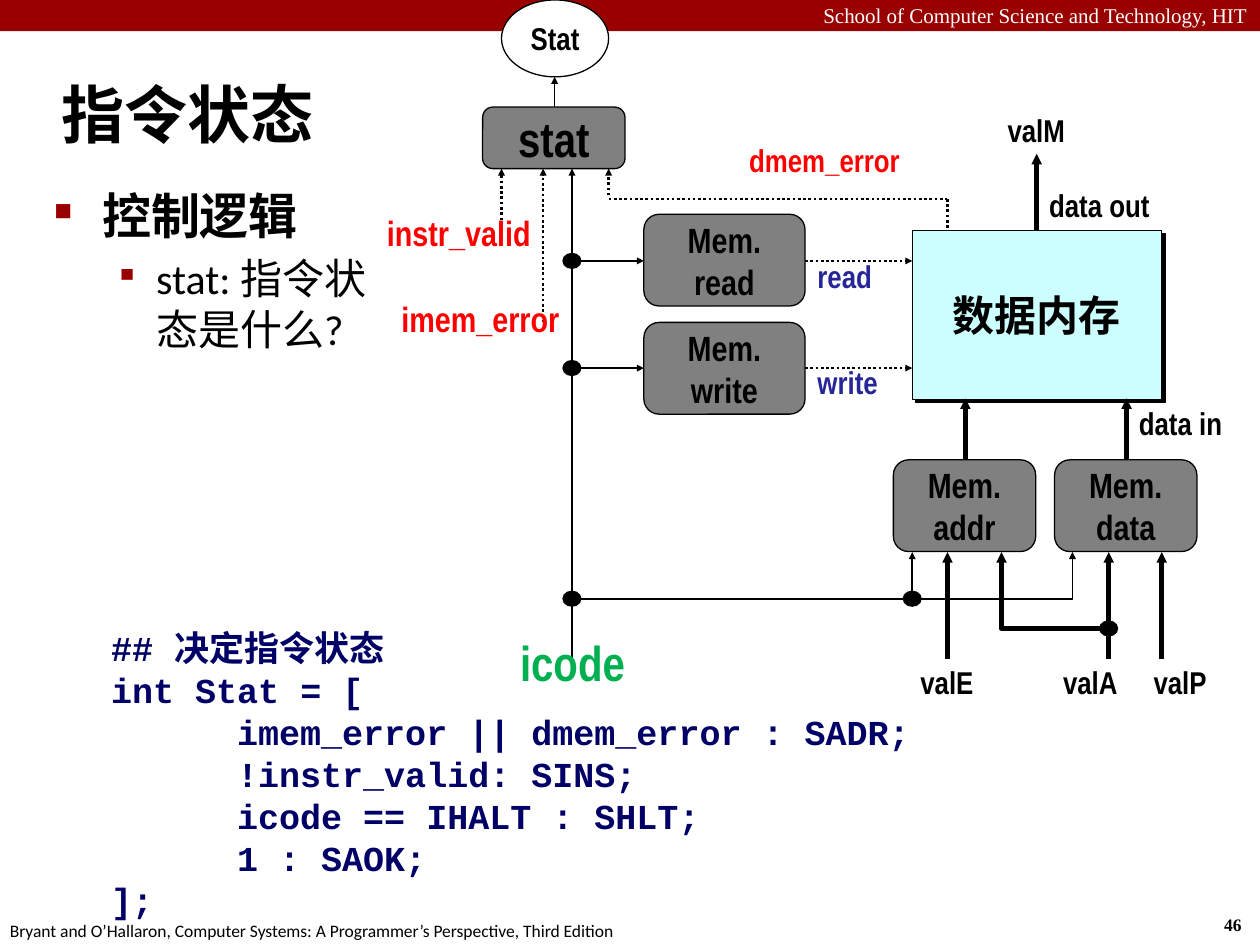
"""Build the slide on instruction status: control logic, data memory diagram and code."""
from lxml.etree import SubElement
from pptx import Presentation
from pptx.dml.color import RGBColor
from pptx.enum.dml import MSO_LINE
from pptx.enum.shapes import MSO_CONNECTOR, MSO_SHAPE
from pptx.enum.text import MSO_ANCHOR, PP_ALIGN
from pptx.oxml.ns import qn
from pptx.util import Cm, Pt

COLOURS = {
    "black": "000000", "white": "FFFFFF", "maroon": "990000", "grey": "808080",
    "cyan": "CCFFFF", "navy": "000066", "blue": "262699", "green": "00B050", "red": "FF0000",
}
PALETTE = {name: RGBColor.from_string(value) for name, value in COLOURS.items()}
LEFT, CENTER, RIGHT = PP_ALIGN.LEFT, PP_ALIGN.CENTER, PP_ALIGN.RIGHT

presentation = Presentation()
presentation.slide_width, presentation.slide_height = Cm(25.4), Cm(19.05)
slide = presentation.slides.add_slide(presentation.slide_layouts[6])
shapes = slide.shapes


def write_text(shape, text, size, colour="black", font="Arial Narrow", align=LEFT,
               bold=True, wrap=True, anchor=MSO_ANCHOR.TOP):
    """Fill a shape with uniformly formatted text."""
    text_frame = shape.text_frame
    text_frame.text = text
    text_frame.word_wrap = wrap
    text_frame.vertical_anchor = anchor
    for paragraph in text_frame.paragraphs:
        paragraph.alignment = align
        for run in paragraph.runs:
            run.font.name, run.font.size, run.font.bold = font, Pt(size), bold
            run.font.color.rgb = PALETTE[colour]
    return text_frame


def draw_wire(points, width, dotted=False, arrow=True):
    """Draw a wire through points in centimetres, with its arrowhead at the last one."""
    corners = [(Cm(x), Cm(y)) for x, y in points]
    if len(corners) == 2:
        wire = shapes.add_connector(MSO_CONNECTOR.STRAIGHT, *corners[0], *corners[1])
        SubElement(wire._element.spPr, qn("a:effectLst"))
    else:
        builder = shapes.build_freeform(*corners[0], scale=1.0)
        builder.add_line_segments(corners[1:], close=False)
        wire = builder.convert_to_shape()
        wire.fill.background()
        wire.shadow.inherit = False
    wire.line.color.rgb = PALETTE["black"]
    wire.line.width = Pt(width)
    if dotted:
        wire.line.dash_style = MSO_LINE.ROUND_DOT
    if arrow:
        SubElement(wire.line._get_or_add_ln(), qn("a:tailEnd"), type="triangle", w="sm", len="sm")


banner = shapes.add_shape(MSO_SHAPE.RECTANGLE, 0, 0, Cm(25.4), Cm(0.63))
banner.shadow.inherit = False
banner.fill.solid()
banner.fill.fore_color.rgb = PALETTE["maroon"]
banner.line.fill.background()

frame_texts = [
    (0, -0.08, 25.4, 0.76, "School of Computer Science and Technology, HIT",
     12, "white", "Times New Roman", RIGHT, False, True),
    (24.43, 18.31, 0.94, 0.69, "46", 10, "black", "Times New Roman", LEFT, True, False),
    (-0.05, 18.42, 12.9, 0.69,
     "Bryant and O’Hallaron, Computer Systems: A Programmer’s Perspective, Third Edition",
     10, "black", "Calibri", LEFT, False, False),
]
for left, top, width, height, *text_format in frame_texts:
    write_text(shapes.add_textbox(Cm(left), Cm(top), Cm(width), Cm(height)), *text_format)

title = shapes.add_textbox(Cm(0.99), Cm(1.22), Cm(24.41), Cm(2.11))
write_text(title, "指令状态", 36, font="Calibri", anchor=MSO_ANCHOR.MIDDLE)

body = shapes.add_textbox(Cm(0.84), Cm(3.61), Cm(7.16), Cm(7.01))
body_frame = write_text(body, "控制逻辑\nstat: 指令状态是什么?", 28, font="Calibri")
bullets = [("■", 50, 0.97, 0.97), ("▪", 80, 2.06, 0.84)]
for paragraph, (symbol, percent, margin, hanging) in zip(body_frame.paragraphs, bullets):
    properties = paragraph._p.get_or_add_pPr()
    properties.set("marL", str(Cm(margin)))
    properties.set("indent", str(-Cm(hanging)))
    bullet_colour = SubElement(properties, qn("a:buClr"))
    SubElement(bullet_colour, qn("a:srgbClr"), val=COLOURS["maroon"])
    SubElement(properties, qn("a:buSzPct"), val=str(percent * 1000))
    SubElement(properties, qn("a:buChar"), char=symbol)
detail = body_frame.paragraphs[1]
detail.space_before = Pt(5)
detail.runs[0].font.size, detail.runs[0].font.bold = Pt(24), False

code_lines = [
    "## 决定指令状态",
    "int Stat = [",
    "\timem_error || dmem_error : SADR;",
    "\t!instr_valid: SINS;",
    "\ticode == IHALT : SHLT;",
    "\t1 : SAOK;",
    "];",
]
code = shapes.add_textbox(Cm(2.11), Cm(12.5), Cm(22.25), Cm(6.25))
code_frame = write_text(code, "\n".join(code_lines), 20, "navy", "Courier New")
code_frame.margin_left = code_frame.margin_right = Cm(0.13)
for paragraph in code_frame.paragraphs:
    tab_stops = SubElement(paragraph._p.get_or_add_pPr(), qn("a:tabLst"))
    SubElement(tab_stops, qn("a:tab"), pos=str(Cm(2.54)), algn="l")
    paragraph.line_spacing = Pt(24)

blocks = [
    (MSO_SHAPE.OVAL, 10.11, 0, 2.16, 1.55, "Stat", 18, "white"),
    (MSO_SHAPE.ROUNDED_RECTANGLE, 9.73, 2.16, 2.87, 1.24, "stat", 28, "grey"),
    (MSO_SHAPE.ROUNDED_RECTANGLE, 12.98, 4.32, 3.25, 1.85, "Mem.\nread", 20, "grey"),
    (MSO_SHAPE.ROUNDED_RECTANGLE, 12.98, 6.5, 3.25, 1.85, "Mem.\nwrite", 20, "grey"),
    (MSO_SHAPE.ROUNDED_RECTANGLE, 18.01, 9.27, 2.87, 1.85, "Mem.\naddr", 20, "grey"),
    (MSO_SHAPE.ROUNDED_RECTANGLE, 21.26, 9.27, 2.87, 1.85, "Mem.\ndata", 20, "grey"),
    (MSO_SHAPE.RECTANGLE, 18.39, 4.65, 5.03, 3.4, "数据内存", 24, "cyan"),
]
for kind, left, top, width, height, text, size, fill in blocks:
    block = shapes.add_shape(kind, Cm(left), Cm(top), Cm(width), Cm(height))
    block.shadow.inherit = False
    block.fill.solid()
    block.fill.fore_color.rgb = PALETTE[fill]
    block.line.color.rgb = PALETTE["black"]
    block.line.width = Pt(0.75)
    write_text(block, text, size, align=CENTER, wrap=False, anchor=MSO_ANCHOR.MIDDLE)
    if fill == "cyan":
        effects = block._element.spPr.find(qn("a:effectLst"))
        shadow = SubElement(effects, qn("a:outerShdw"), dist=str(Pt(2.8)), dir="2700000",
                            algn="ctr", rotWithShape="0")
        SubElement(shadow, qn("a:srgbClr"), val=COLOURS["black"])

thick_wires = [
    [(22.35, 13.28), (22.35, 11.13)],
    [(19.1, 13.28), (19.1, 11.13)],
    [(23.42, 13.28), (23.42, 11.13)],
    [(22.35, 12.67), (20.19, 12.67), (20.19, 11.13)],
    [(19.46, 9.27), (19.46, 8.03)],
    [(22.71, 9.27), (22.71, 8.03)],
    [(20.9, 4.65), (20.9, 3.1)],
]
thin_wires = [
    [(11.53, 12.07), (21.62, 12.07), (21.62, 11.13)],
    [(11.53, 13.28), (11.53, 5.26), (12.98, 5.26)],
    [(11.53, 7.42), (12.98, 7.42)],
    [(18.39, 12.07), (18.39, 11.13)],
    [(11.53, 5.26), (11.53, 3.4)],
    [(11.18, 2.16), (11.18, 1.55)],
]
dotted_wires = [
    [(16.23, 5.26), (18.39, 5.26)],
    [(16.23, 7.42), (18.39, 7.42)],
    [(10.95, 6.5), (10.95, 3.4)],
    [(12.27, 3.94), (12.27, 3.4)],
    [(10.11, 4.65), (10.11, 3.4)],
]
for wires, width, dotted in [(thick_wires, 3, False), (thin_wires, 1, False),
                             (dotted_wires, 1.5, True)]:
    for points in wires:
        draw_wire(points, width, dotted)
for points in [[(12.27, 4.01), (19.1, 4.01)], [(19.1, 4.01), (19.1, 4.65)]]:
    draw_wire(points, 1.5, dotted=True, arrow=False)

for x, y in [(22.35, 12.67), (18.39, 12.07), (11.53, 7.42), (11.53, 12.07), (11.53, 5.26)]:
    junction = shapes.add_shape(MSO_SHAPE.OVAL, Cm(x - 0.18), Cm(y - 0.15), Cm(0.36), Cm(0.3))
    junction.shadow.inherit = False
    junction.fill.solid()
    junction.fill.fore_color.rgb = junction.line.color.rgb = PALETTE["black"]
    junction.line.width = Pt(0.75)

signals = [
    (17.49, 12.98, "valE", 18, "black"),
    (20.38, 12.98, "valA", 18, "black"),
    (22.19, 12.98, "valP", 18, "black"),
    (19.29, 1.85, "valM", 18, "black"),
    (9.94, 12.57, "icode", 28, "green"),
]
for left, top, text, size, colour in signals:
    signal = shapes.add_textbox(Cm(left), Cm(top), Cm(3.2), Cm(1.55))
    write_text(signal, text, size, colour, align=CENTER, wrap=False, anchor=MSO_ANCHOR.MIDDLE)

wire_labels = [
    (16.23, 5.05, 2.87, "read", 18, "blue", LEFT),
    (16.23, 7.19, 2.51, "write", 18, "blue", LEFT),
    (20.9, 3.63, 3.61, "data out", 18, "black", LEFT),
    (22.71, 8.03, 3.61, "data in", 18, "black", LEFT),
    (12.62, 2.72, 5.77, "dmem_error", 18, "red", RIGHT),
    (6.5, 4.14, 4.45, "instr_valid", 20, "red", RIGHT),
    (6.86, 5.87, 4.67, "imem_error", 20, "red", RIGHT),
]
for left, top, width, text, size, colour, align in wire_labels:
    label = shapes.add_textbox(Cm(left), Cm(top), Cm(width), Cm(1.22))
    write_text(label, text, size, colour, align=align)

presentation.save("out.pptx")
